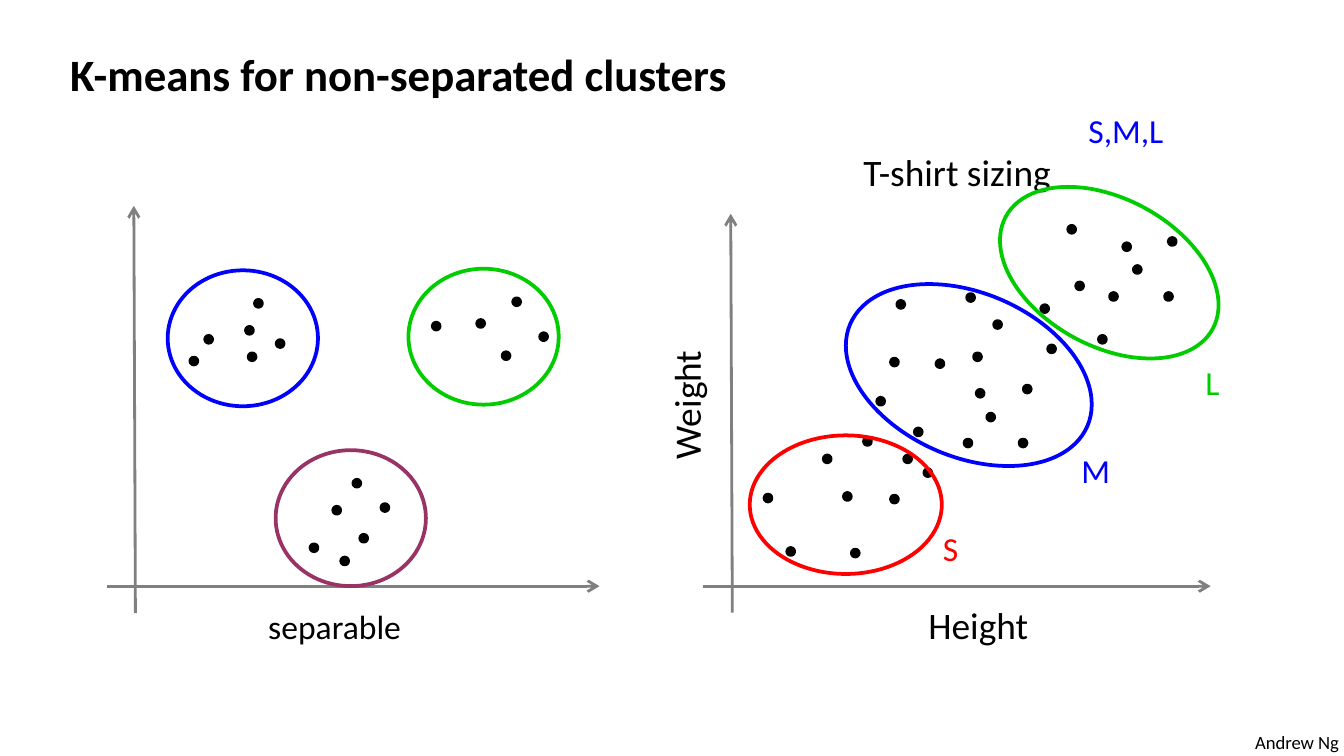
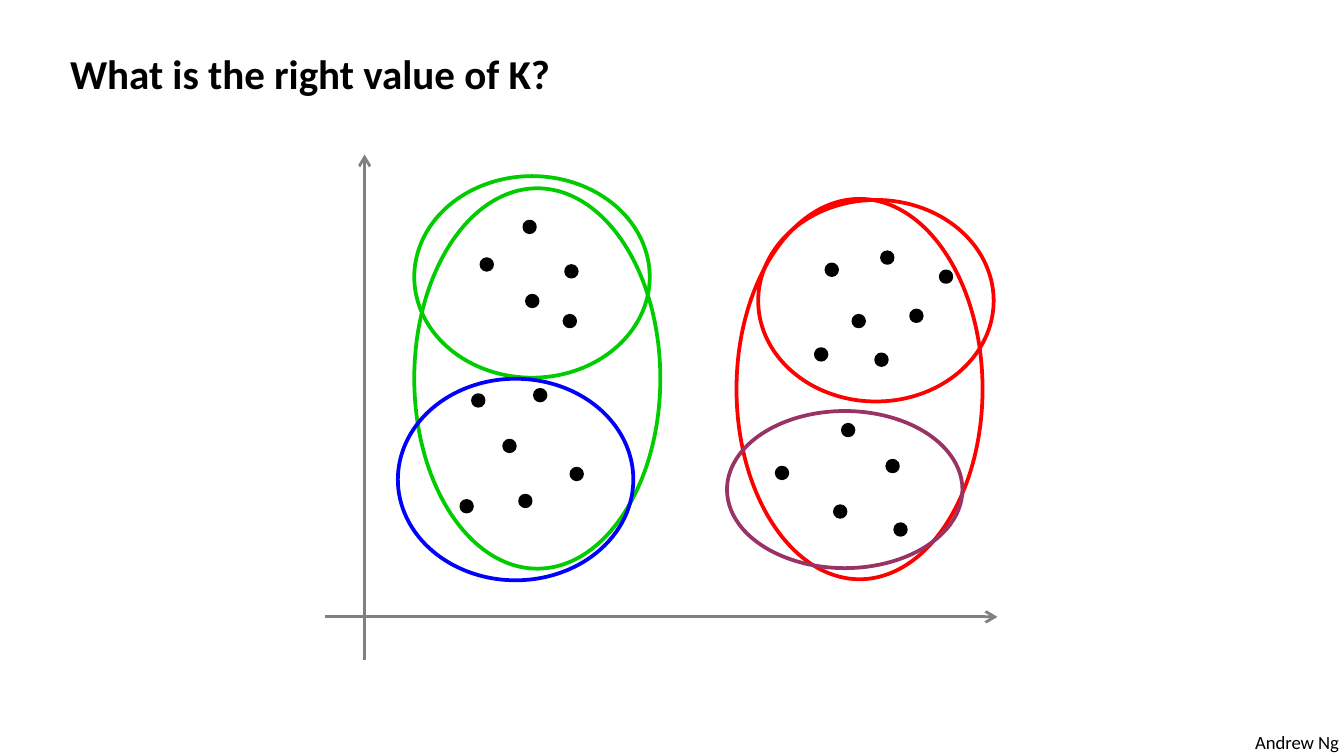
from collections import namedtuple

from lxml.etree import SubElement
from pptx import Presentation
from pptx.dml.color import RGBColor
from pptx.enum.shapes import MSO_CONNECTOR as Connector, MSO_SHAPE as Shape
from pptx.enum.text import MSO_ANCHOR as Anchor, PP_ALIGN as Align
from pptx.oxml.ns import qn
from pptx.util import Cm, Pt

COLORS = {
    "black": "000000",
    "white": "FFFFFF",
    "axis": "808080",
    "blue": "0000FF",
    "green": "00CC00",
    "red": "FF0000",
    "purple": "993366",
}
FONT = "Calibri"
TITLE_ONLY = 5

Box = namedtuple("Box", "left top width height")


def color(name):
    """Return the named colour."""
    return RGBColor.from_string(COLORS[name])


def inside(box, left, top, width, height):
    """Turn a place relative to a box into a place on the page."""
    return Box(box.left + left, box.top + top, width, height)


def write(frame, text, size=18, tint="black", bold=False, align=Align.LEFT, wrap=True):
    """Put one formatted line of text into a frame."""
    frame.word_wrap = wrap
    frame.vertical_anchor = Anchor.TOP
    para = frame.paragraphs[0]
    para.alignment = align
    span = para.add_run()
    span.text = text
    span.font.name = FONT
    span.font.size = Pt(size)
    span.font.bold = bold
    span.font.color.rgb = color(tint)


def add_label(page, box, text, turn=0, **style):
    """Add a text box, turned if asked."""
    label = page.shapes.add_textbox(*map(Cm, box))
    label.rotation = turn
    write(label.text_frame, text, **style)


def add_ellipse(page, box, tint, filled=False, turn=0):
    """Add an ellipse as a solid dot or an open ring."""
    ellipse = page.shapes.add_shape(Shape.OVAL, *map(Cm, box))
    ellipse.shadow.inherit = False
    ellipse.rotation = turn
    if filled:
        ellipse.fill.solid()
        ellipse.fill.fore_color.rgb = color(tint)
    else:
        ellipse.fill.background()
    ellipse.line.color.rgb = color(tint)
    ellipse.line.width = Pt(2)


def add_arrow(page, start, end):
    """Add an axis line with an open arrowhead."""
    arrow = page.shapes.add_connector(Connector.STRAIGHT, *map(Cm, start + end))
    arrow.line.color.rgb = color("axis")
    arrow.line.width = Pt(1.5)
    SubElement(arrow.line._get_or_add_ln(), qn("a:tailEnd"), type="arrow")
    SubElement(arrow._element.spPr, qn("a:effectLst"))


def add_axes(page, box, across, down, lean=0):
    """Cross two arrows at a point of the box."""
    foot = (box.left + across, box.top + box.height)
    add_arrow(page, foot, (foot[0] - lean, box.top))
    level = box.top + down
    add_arrow(page, (box.left, level), (box.left + box.width, level))


def add_dots(page, box, dots, size):
    """Scatter black dots over the box."""
    for left, top in dots:
        add_ellipse(page, inside(box, left, top, size, size), "black", filled=True)


def add_rings(page, box, rings):
    """Circle the clusters of the box."""
    for tint, place, turn in rings:
        add_ellipse(page, inside(box, *place), tint, turn=turn)


def add_page(deck, title, box, size):
    """Add a page with its title and the author line."""
    page = deck.slides.add_slide(deck.slide_layouts[TITLE_ONLY])
    page.background.fill.solid()
    page.background.fill.fore_color.rgb = color("white")
    heading = page.shapes.title
    heading.left, heading.top, heading.width, heading.height = map(Cm, box)
    write(heading.text_frame, title, size=size, bold=True)
    add_label(page, Box(23.47, 13.69, 2.13, 0.69), "Andrew Ng", size=10, wrap=False)
    return page


def separable_plot(page, box):
    """Draw three clusters that lie well apart."""
    add_axes(page, box, 0.53, 7.19, lean=0.03)
    dots = [
        (6.15, 2.21), (7.47, 2.77), (7.67, 1.75), (8.18, 2.41), (6.99, 2.16),
        (2.62, 2.29), (1.57, 2.87), (3.2, 2.54), (2.79, 1.78), (2.67, 2.79),
        (1.85, 2.46), (4.42, 6.65), (4.78, 6.22), (4.27, 5.69), (5.18, 5.64),
        (3.84, 6.4), (4.65, 5.18),
    ]
    add_dots(page, box, dots, 0.13)
    corners = {"blue": (1.14, 1.22), "green": (5.69, 1.19), "purple": (3.18, 4.62)}
    add_rings(page, box, [(tint, corner + (2.84, 2.57), 0) for tint, corner in corners.items()])
    add_label(page, inside(box, 2.79, 7.44, 6.1, 1.02), "separable")


def sizing_plot(page, box):
    """Draw T-shirt sizes as three touching clusters."""
    add_axes(page, box, 0.56, 7.04, lean=0.03)
    captions = [
        ("T-shirt sizing", (-0.36, -1.35, 10.34), 0),
        ("Height", (3.18, 7.21, 4.06), 0),
        ("Weight", (-2.77, 3.05, 4.93), 270),
    ]
    for text, place, turn in captions:
        add_label(page, inside(box, *place, 1.12), text, turn, size=20, align=Align.CENTER)
    dots = [
        (2.67, 5.28), (6.07, 3.25), (3.3, 3.48), (5.99, 4.27), (3.05, 4.24),
        (5.38, 3.78), (6.53, 2.49), (5.51, 2.03), (7.06, 1.3), (4.42, 2.77),
        (3.56, 5.33), (4.01, 4.06), (3.81, 4.57), (1.6, 6.32), (2.82, 6.35),
        (2.29, 4.57), (4.19, 4.83), (1.17, 5.31), (3.56, 2.74), (5.18, 3.33),
        (5, 1.52), (5.13, 2.64), (3.68, 1.65), (4.95, 4.27), (6.91, 0.23),
        (6.4, 1.73), (7.49, 2.31), (8.81, 0.46), (8.74, 1.5), (8.15, 0.99),
        (7.95, 0.56), (7.7, 1.5),
    ]
    add_dots(page, box, dots, 0.13)
    add_label(page, inside(box, 7.04, -2.08, 4.6, 1.02), "S,M,L", tint="blue")
    rings = [
        ("red", (0.89, 4.19, 3.63, 2.62), 0),
        ("blue", (2.59, 1.5, 4.88, 3.1), 23.3),
        ("green", (5.46, -0.28, 4.45, 2.79), 28.5),
    ]
    add_rings(page, box, rings)
    sizes = [
        ("S", "red", (4.29, 5.82, 0.81)),
        ("M", "blue", (6.91, 4.34, 1.07)),
        ("L", "green", (9.25, 2.67, 0.79)),
    ]
    for text, tint, place in sizes:
        add_label(page, inside(box, *place, 1.02), text, tint=tint, wrap=False)


def choice_plot(page, box):
    """Draw points that can be read as two or four clusters."""
    add_axes(page, box, 0.74, 8.74)
    dots = [
        (2.57, 6.55), (3.38, 5.41), (3.96, 4.45), (4.65, 5.94), (2.79, 4.55),
        (3.68, 6.45), (3.76, 1.27), (4.55, 2.11), (3.81, 2.67), (2.95, 1.98),
        (4.52, 3.05), (10.62, 5.79), (9.78, 5.11), (10.77, 6.99), (9.63, 6.65),
        (8.53, 5.92), (11.07, 2.95), (9.47, 2.08), (10.41, 3.78), (9.27, 3.68),
        (9.98, 3.05), (11.63, 2.21), (10.52, 1.85),
    ]
    add_dots(page, box, dots, 0.2)
    halves = [
        ("green", (1.68, 0.64, 4.65, 7.19), 0),
        ("red", (7.77, 0.84, 4.65, 7.19), 0),
    ]
    quarters = [
        ("green", (1.68, 0.41, 4.45, 3.81), 0),
        ("blue", (1.37, 4.24, 4.45, 3.81), 0),
        ("red", (8.18, 0.86, 4.45, 3.81), 0),
        ("purple", (7.59, 4.85, 4.45, 2.97), 0),
    ]
    add_rings(page, box, halves + quarters)


def clusters_page(deck):
    """Compare separable with non-separated clusters."""
    title = "K-means for non-separated clusters"
    page = add_page(deck, title, Box(1.07, 0.76, 23.06, 1.27), 24)
    separable_plot(page, Box(2.03, 3.89, 9.3, 7.7))
    sizing_plot(page, Box(13.28, 4.04, 9.6, 7.54))


def choice_page(deck):
    """Ask how many clusters there are."""
    title = "What is the right value of K?"
    page = add_page(deck, title, Box(1.07, 0.79, 23.06, 1.19), 22)
    choice_plot(page, Box(6.15, 2.92, 12.7, 9.55))


def main():
    """Build and save the deck."""
    deck = Presentation()
    deck.slide_width, deck.slide_height = Cm(25.4), Cm(14.29)
    clusters_page(deck)
    choice_page(deck)
    deck.save("out.pptx")


if __name__ == "__main__":
    main()
